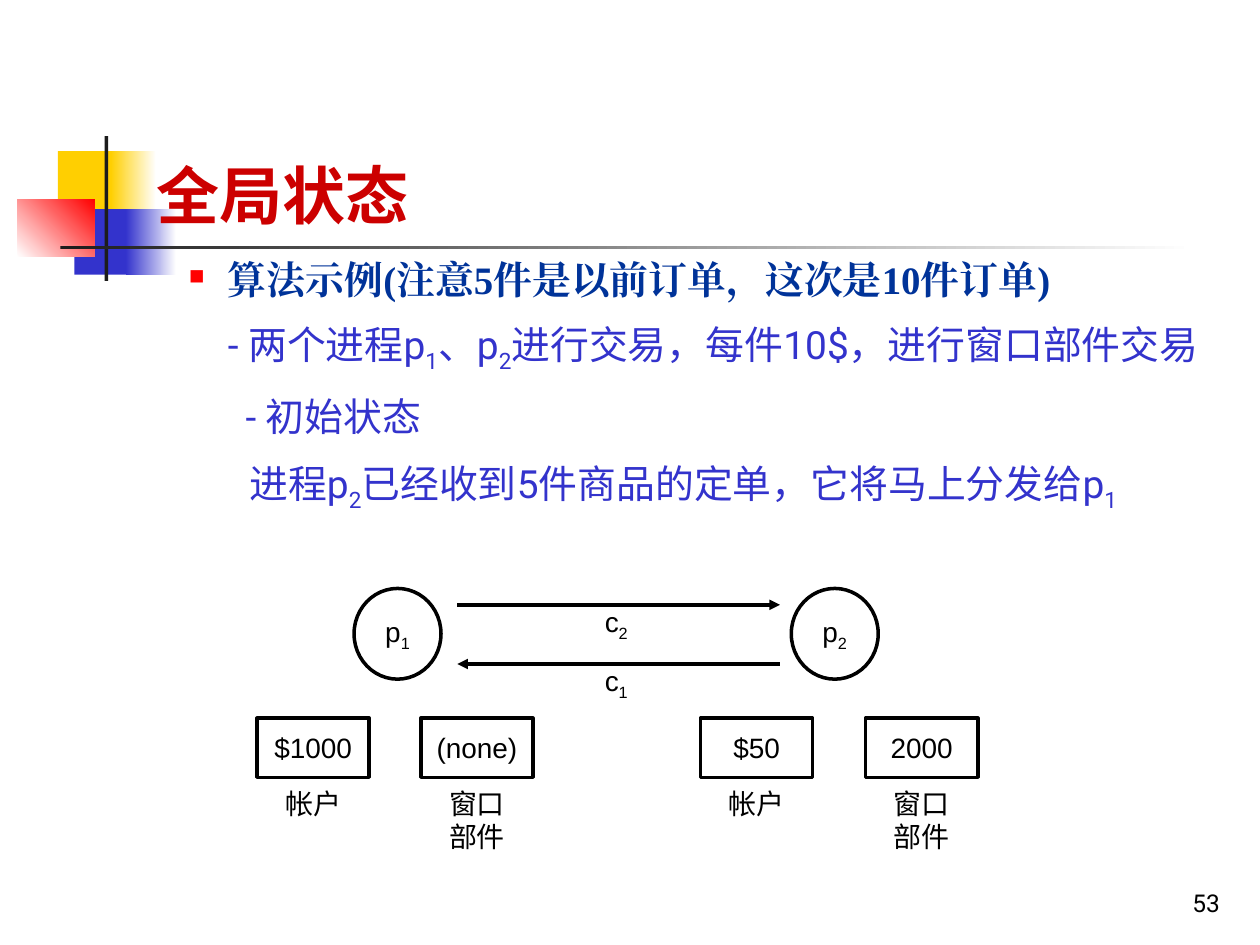
from dataclasses import dataclass

from lxml import etree
from pptx import Presentation
from pptx.dml.color import RGBColor
from pptx.enum import shapes, text
from pptx.oxml.ns import qn
from pptx.util import Inches, Pt


@dataclass(frozen=True)
class Theme:
    yellow: str = "FFCF01"
    blue: str = "3333CC"
    red: str = "FF0000"
    dark: str = "1C1C1C"
    white: str = "FFFFFF"
    black: str = "000000"
    title: str = "CC0000"
    heading: str = "003399"
    title_size: float = 36
    body_size: float = 22.2
    label_size: float = 16
    number_size: float = 14
    line: float = 2


T = Theme()
rgb = RGBColor.from_string


def add_runs(p, content, font, size, color, bold=False):
    """Write content into p; every second part between underscores is a subscript."""
    for i, part in enumerate(content.split("_")):
        if not part:
            continue
        r = p.add_run()
        r.text = part
        r.font.name, r.font.size, r.font.bold = font, Pt(size), bold
        r.font.color.rgb = rgb(color)
        rPr = r.font._element
        etree.SubElement(rPr, qn("a:ea")).set("typeface", font)
        if i % 2:
            rPr.set("baseline", "-25000")


def add_label(sp, content, align=text.PP_ALIGN.CENTER, anchor=text.MSO_ANCHOR.TOP):
    """Put Arial diagram text into sp without margins, one paragraph per line."""
    tf = sp.text_frame
    tf.margin_left = tf.margin_right = tf.margin_top = tf.margin_bottom = 0
    tf.word_wrap = False
    tf.vertical_anchor = anchor
    for i, line in enumerate(content.split("\n")):
        p = tf.add_paragraph() if i else tf.paragraphs[0]
        p.alignment = align
        add_runs(p, line, "Arial", T.label_size, T.black)


prs = Presentation()
prs.slide_width, prs.slide_height = Inches(10), Inches(7.5)
s = prs.slides.add_slide(prs.slide_layouts[6])

# Corner ornament: left, top, width, height, start colour, end colour, angle
ornament = [
    (0.46, 1.2, 0.48, 0.52, T.yellow, None, 0),
    (0.88, 1.2, 0.36, 0.52, T.yellow, T.white, 0),
    (0.59, 1.66, 0.46, 0.52, T.blue, None, 0),
    (1, 1.66, 0.4, 0.52, T.blue, T.white, 0),
    (0.14, 1.58, 0.61, 0.46, T.white, T.red, 45),
    (0.83, 1.08, 0.03, 1.15, T.dark, None, 0),
    (0.48, 1.95, 9, 0.03, T.dark, T.white, 0),
]
for *box, start, end, angle in ornament:
    sp = s.shapes.add_shape(shapes.MSO_SHAPE.RECTANGLE, *map(Inches, box))
    sp.shadow.inherit = False
    sp.line.fill.background()
    if end:
        sp.fill.gradient()
        sp.fill.gradient_angle = angle
        for stop, color in zip(sp.fill.gradient_stops, (start, end)):
            stop.color.rgb = rgb(color)
    else:
        sp.fill.solid()
        sp.fill.fore_color.rgb = rgb(start)

# Title and slide number
tf = s.shapes.add_textbox(Inches(1.14), Inches(0.91), Inches(7.4), Inches(0.98)).text_frame
tf.word_wrap = True
tf.vertical_anchor = text.MSO_ANCHOR.BOTTOM
add_runs(tf.paragraphs[0], "全局状态", "Noto Sans CJK JP", T.title_size, T.title, True)

tf = s.shapes.add_textbox(Inches(7.7), Inches(6.83), Inches(2.08), Inches(0.5)).text_frame
tf.word_wrap = True
tf.vertical_anchor = text.MSO_ANCHOR.BOTTOM
tf.paragraphs[0].alignment = text.PP_ALIGN.RIGHT
add_runs(tf.paragraphs[0], "53", "Roboto", T.number_size, T.black)

# Body: text, left margin, line spacing
body = [
    ("算法示例(注意5件是以前订单，这次是10件订单)", 0.81, 0.9),
    ("- 两个进程p_1_、p_2_进行交易，每件10$，进行窗口部件交易", 0.81, 1),
    ("- 初始状态", 0.95, 1),
    ("进程p_2_已经收到5件商品的定单，它将马上分发给p_1_", 0.98, 1.05),
]
tf = s.shapes.add_textbox(Inches(0.9), Inches(2.02), Inches(8.85), Inches(2.6)).text_frame
tf.word_wrap = True
for i, (content, margin, spacing) in enumerate(body):
    p = tf.add_paragraph() if i else tf.paragraphs[0]
    p.line_spacing = spacing
    pPr = p._p.get_or_add_pPr()
    pPr.set("marL", str(Inches(margin)))
    if i:
        p.space_before = Pt(10.5)
        add_runs(p, content, "Roboto", T.body_size, T.blue)
    else:
        pPr.set("indent", str(-Inches(0.31)))
        bullet_color = etree.SubElement(pPr, qn("a:buClr"))
        etree.SubElement(bullet_color, qn("a:srgbClr")).set("val", T.red)
        etree.SubElement(pPr, qn("a:buSzPct")).set("val", "55000")
        etree.SubElement(pPr, qn("a:buChar")).set("char", "■")
        add_runs(p, content, "Times New Roman", T.body_size, T.heading, True)

# Processes and their state boxes
nodes = [
    (shapes.MSO_SHAPE.OVAL, 2.81, 4.67, 0.69, 0.72, "p_1_", None),
    (shapes.MSO_SHAPE.OVAL, 6.28, 4.67, 0.69, 0.72, "p_2_", None),
    (shapes.MSO_SHAPE.RECTANGLE, 2.04, 5.7, 0.89, 0.47, "$1000", "帐户"),
    (shapes.MSO_SHAPE.RECTANGLE, 3.34, 5.7, 0.89, 0.47, "(none)", "窗口\n部件"),
    (shapes.MSO_SHAPE.RECTANGLE, 5.56, 5.7, 0.89, 0.47, "$50", "帐户"),
    (shapes.MSO_SHAPE.RECTANGLE, 6.87, 5.7, 0.89, 0.47, "2000", "窗口\n部件"),
]
for kind, left, top, width, height, value, caption in nodes:
    sp = s.shapes.add_shape(kind, *map(Inches, (left, top, width, height)))
    sp.shadow.inherit = False
    sp.fill.solid()
    sp.fill.fore_color.rgb = rgb(T.white)
    sp.line.color.rgb = rgb(T.black)
    sp.line.width = Pt(T.line)
    add_label(sp, value, anchor=text.MSO_ANCHOR.MIDDLE)
    if caption:
        add_label(s.shapes.add_textbox(Inches(left), Inches(6.24), Inches(width),
                                       Inches(0.53 if "\n" in caption else 0.27)), caption)

# Channels between the processes
for channel, start, end, y in [("c_2_", 3.63, 6.19, 4.8), ("c_1_", 6.19, 3.63, 5.27)]:
    arrow = s.shapes.add_connector(shapes.MSO_CONNECTOR.STRAIGHT,
                                   Inches(start), Inches(y), Inches(end), Inches(y))
    arrow.line.color.rgb = rgb(T.black)
    arrow.line.width = Pt(T.line)
    etree.SubElement(arrow.line._get_or_add_ln(), qn("a:tailEnd")).set("type", "triangle")
    etree.SubElement(arrow._element.spPr, qn("a:effectLst"))
    add_label(s.shapes.add_textbox(Inches(4.8), Inches(y), Inches(0.2), Inches(0.27)),
              channel, align=text.PP_ALIGN.LEFT)

prs.save("out.pptx")
